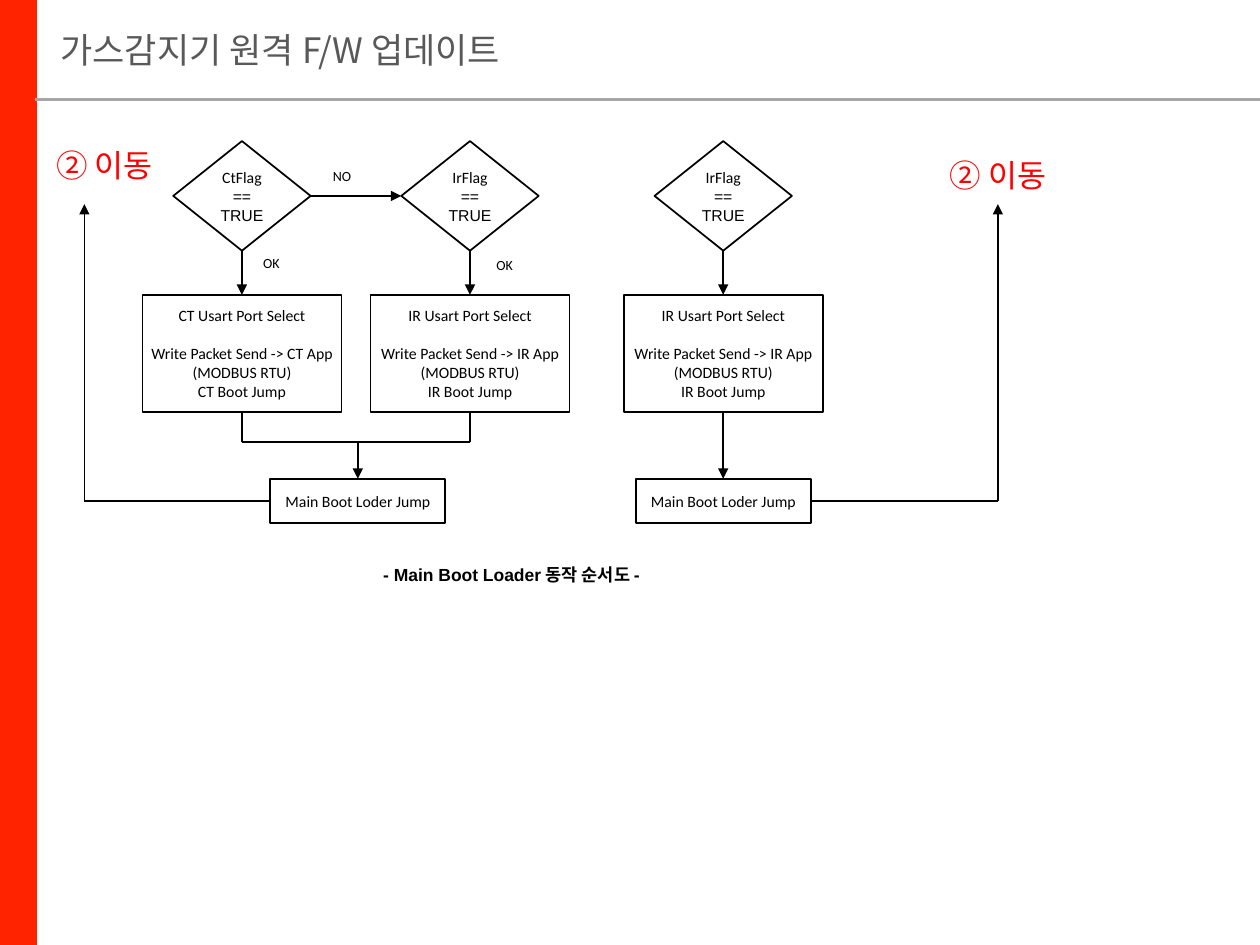
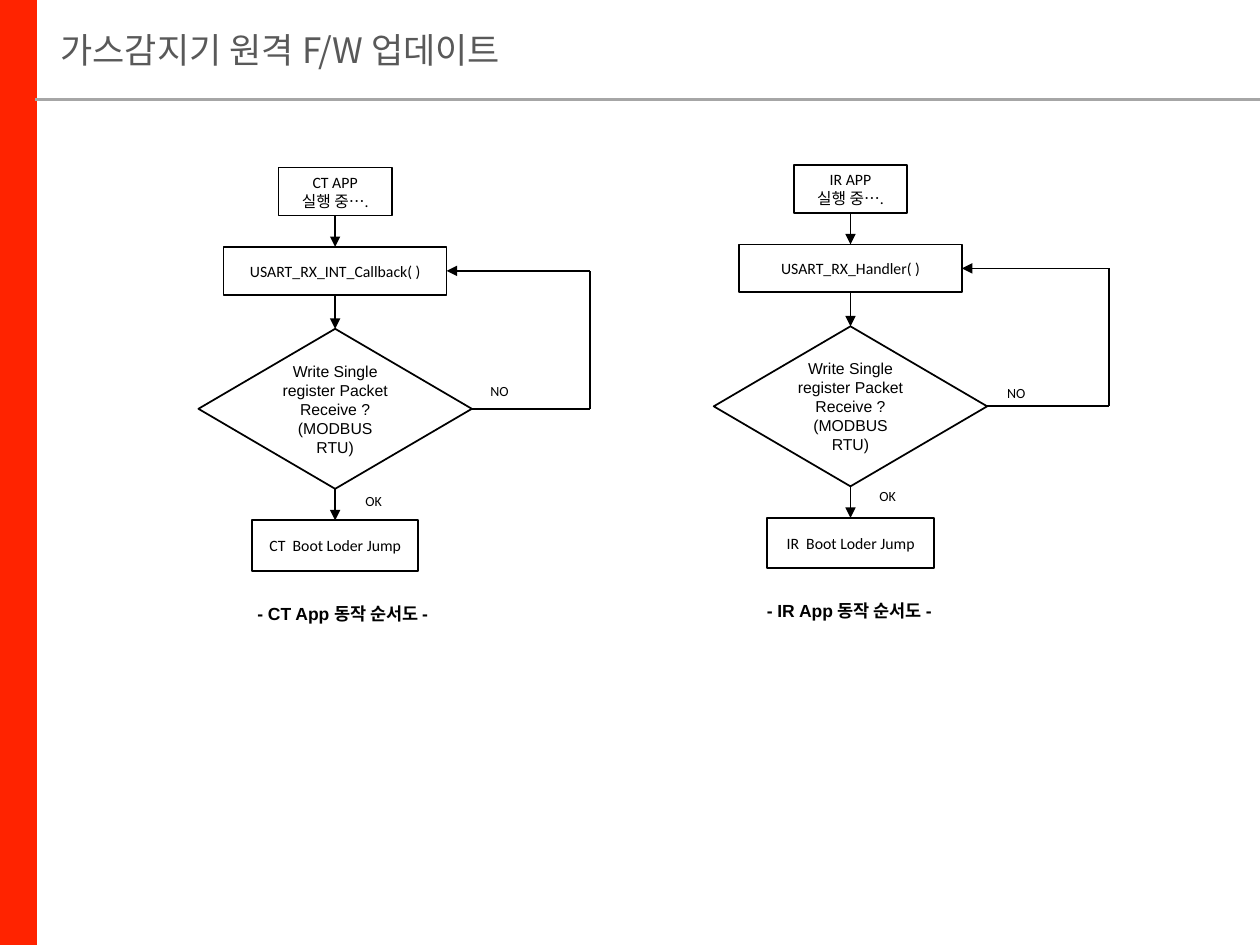
from dataclasses import dataclass

from lxml import etree
from pptx import Presentation
from pptx.dml.color import RGBColor
from pptx.enum.shapes import MSO_CONNECTOR as Connector, MSO_SHAPE as Shape
from pptx.enum.text import MSO_ANCHOR as Anchor, MSO_AUTO_SIZE as AutoSize, PP_ALIGN as Align
from pptx.oxml.ns import qn
from pptx.util import Inches, Pt

TOP, LEFT, BOTTOM, RIGHT = range(4)


def text_style(name, size, color="000000", bold=False):
    return {"name": name, "size": Pt(size), "bold": bold, "color": color}


@dataclass(frozen=True)
class Theme:
    band = "FF2300"
    rule = "A6A6A6"
    ink = "000000"
    paper = "FFFFFF"
    korean = "Noto Sans CJK KR"
    title = text_style(korean, 20, "595959")
    caption = text_style("Arial", 10, bold=True)
    step = text_style("Calibri", 9)
    test = text_style("Arial", 9)
    branch = text_style("Calibri", 8)
    jump = text_style(korean, 18, "FF0000")
    outline = 1
    paragraph_gap = Pt(11)


THEME = Theme()


@dataclass(frozen=True)
class AppFlow:
    chip: str
    handler: str
    axis: float
    top: float
    loop_x: float
    no_at: tuple
    ok_at: tuple
    caption_at: tuple


APP_FLOWS = [
    AppFlow("CT", "USART_RX_INT_Callback( )", 2.66, 1.33, 4.68,
            (3.79, 3.03), (2.79, 3.9), (1.22, 4.74)),
    AppFlow("IR", "USART_RX_Handler( )", 6.75, 1.31, 8.8,
            (7.89, 3.04), (6.87, 3.86), (5.24, 4.71)),
]


def set_values(target, values):
    for attribute, value in values.items():
        setattr(target, attribute, value)


def add_run(paragraph, text, style):
    run = paragraph.add_run()
    run.text = text
    set_values(run.font, {key: value for key, value in style.items() if key != "color"})
    run.font.color.rgb = RGBColor.from_string(style["color"])
    east_asian = etree.SubElement(run._r.get_or_add_rPr(), qn("a:ea"))
    east_asian.set("typeface", THEME.korean)


def write(frame, lines, style, inset=None, align=Align.CENTER, anchor=Anchor.MIDDLE):
    set_values(frame, {"word_wrap": True, "vertical_anchor": anchor})
    if inset is not None:
        sides = ("margin_left", "margin_top", "margin_right", "margin_bottom")
        set_values(frame, {side: Inches(inset) for side in sides})
    for index, line in enumerate(lines):
        paragraph = frame.add_paragraph() if index else frame.paragraphs[0]
        paragraph.alignment = align
        runs = [(line, style)] if isinstance(line, str) else line
        for text, run_style in runs:
            add_run(paragraph, text, run_style)


def add_block(slide, preset, left, top, width, height, fill=None, line=None, weight=1):
    block = slide.shapes.add_shape(preset, *map(Inches, (left, top, width, height)))
    block.shadow.inherit = False
    if fill:
        block.fill.solid()
        block.fill.fore_color.rgb = RGBColor.from_string(fill)
    else:
        block.fill.background()
    if line:
        block.line.color.rgb = RGBColor.from_string(line)
        block.line.width = Pt(weight)
    else:
        block.line.fill.background()
    return block


def add_step(slide, axis, top, width, height, lines):
    step = add_block(slide, Shape.RECTANGLE, axis - width / 2, top, width, height,
                     THEME.paper, THEME.ink, THEME.outline)
    write(step.text_frame, lines, THEME.step, inset=0.02)
    return step


def add_test(slide, axis, top, width, height, lines):
    test = add_block(slide, Shape.DIAMOND, axis - width / 2, top, width, height,
                     line=THEME.ink, weight=THEME.outline)
    write(test.text_frame, lines, THEME.test)
    return test


def add_label(slide, text, left, top, style=THEME.branch, width=0.35, height=0.15):
    label = add_block(slide, Shape.RECTANGLE, left, top, width, height, THEME.paper)
    write(label.text_frame, [text], style, inset=0.02)


def add_caption(slide, text, left, top):
    caption = slide.shapes.add_textbox(*map(Inches, (left, top, 3, 0.27)))
    write(caption.text_frame, [text], THEME.caption, anchor=Anchor.TOP)


def side_point(node, side):
    x, y = {
        TOP: (node.left + node.width / 2, node.top),
        LEFT: (node.left, node.top + node.height / 2),
        BOTTOM: (node.left + node.width / 2, node.top + node.height),
        RIGHT: (node.left + node.width, node.top + node.height / 2),
    }[side]
    return int(x), int(y)


def add_link(slide, start, end, arrow=False, color=THEME.ink, weight=THEME.outline):
    joined = [not isinstance(point[0], (int, float)) for point in (start, end)]
    points = [side_point(*point) if is_node else tuple(map(Inches, point))
              for point, is_node in zip((start, end), joined)]
    link = slide.shapes.add_connector(Connector.STRAIGHT, *points[0], *points[1])
    if joined[0]:
        link.begin_connect(*start)
    if joined[1]:
        link.end_connect(*end)
    link.line.color.rgb = RGBColor.from_string(color)
    link.line.width = Pt(weight)
    if arrow:
        head = etree.SubElement(link.line._get_or_add_ln(), qn("a:tailEnd"))
        head.set("type", "triangle")
    etree.SubElement(link._element.spPr, qn("a:effectLst"))
    return link


def add_path_down(slide, *nodes):
    for upper, lower in zip(nodes, nodes[1:]):
        add_link(slide, (upper, BOTTOM), (lower, TOP), arrow=True)


def add_titled_slide(deck):
    slide = deck.slides.add_slide(deck.slide_layouts[5])
    title = slide.shapes.title
    set_values(title, {"left": Inches(0.28), "top": 0,
                       "width": Inches(9.72), "height": Inches(0.79)})
    write(title.text_frame, ["가스감지기 원격 F/W 업데이트"], THEME.title,
          inset=0, align=Align.LEFT)
    set_values(title.text_frame, {"margin_left": Inches(0.2), "auto_size": AutoSize.NONE})
    add_block(slide, Shape.RECTANGLE, 0, 0, 0.28, 7.5, THEME.band, THEME.band, 2)
    add_link(slide, (0.28, 0.79), (10, 0.79), color=THEME.rule, weight=1.5)
    return slide


def add_flag_branch(slide, chip, flag, axis):
    test = add_test(slide, axis, 1.12, 1.09, 0.87,
                    [[(flag, THEME.step), (" == TRUE", THEME.test)]])
    port = add_step(slide, axis, 2.34, 1.58, 0.93, [
        f"{chip} Usart Port Select",
        f"Write Packet Send -> {chip} App",
        "(MODBUS RTU)",
        f"{chip} Boot Jump",
    ])
    port.text_frame.paragraphs[1].space_before = THEME.paragraph_gap
    add_path_down(slide, test, port)
    return test, port


def add_main_jump(slide, axis):
    return add_step(slide, axis, 3.8, 1.39, 0.35, ["Main Boot Loder Jump"])


def add_return(slide, jump, side, x, label_left, label_top):
    y = side_point(jump, side)[1] / Inches(1)
    add_link(slide, (jump, side), (x, y))
    add_link(slide, (x, y), (x, 1.62), arrow=True)
    add_label(slide, "② 이동", label_left, label_top, THEME.jump, 0.86, 0.3)


def build_main_loader(deck):
    slide = add_titled_slide(deck)
    ct_axis, ir_axis, merge_axis, merge_y = 1.92, 3.73, 2.84, 3.51
    ct_test, ct_port = add_flag_branch(slide, "CT", "CtFlag", ct_axis)
    ir_test, ir_port = add_flag_branch(slide, "IR", "IrFlag", ir_axis)
    add_link(slide, (ct_test, RIGHT), (ir_test, LEFT), arrow=True)
    for text, left, top in [("NO", 2.54, 1.32), ("OK", 1.98, 2.01), ("OK", 3.83, 2.03)]:
        add_label(slide, text, left, top)

    shared_jump = add_main_jump(slide, merge_axis)
    for port, axis in [(ct_port, ct_axis), (ir_port, ir_axis)]:
        add_link(slide, (port, BOTTOM), (axis, merge_y))
    add_link(slide, (ct_axis, merge_y), (ir_axis, merge_y))
    add_link(slide, (merge_axis, merge_y), (shared_jump, TOP), arrow=True)
    add_return(slide, shared_jump, LEFT, 0.67, 0.4, 1.16)

    single_axis = 5.74
    single_port = add_flag_branch(slide, "IR", "IrFlag", single_axis)[1]
    single_jump = add_main_jump(slide, single_axis)
    add_path_down(slide, single_port, single_jump)
    add_return(slide, single_jump, RIGHT, 7.92, 7.49, 1.24)
    add_caption(slide, "- Main Boot Loader 동작 순서도 -", 2.56, 4.43)


def add_app_flow(slide, flow):
    app = add_step(slide, flow.axis, flow.top, 0.9, 0.38, [f"{flow.chip} APP", "실행 중…."])
    handler = add_step(slide, flow.axis, flow.top + 0.63, 1.77, 0.38, [flow.handler])
    test = add_test(slide, flow.axis, flow.top + 1.28, 2.17, 1.27,
                    ["Write Single register Packet Receive ?", "(MODBUS RTU)"])
    jump = add_step(slide, flow.axis, flow.top + 2.8, 1.32, 0.4,
                    [f"{flow.chip}  Boot Loder Jump"])
    add_path_down(slide, app, handler, test, jump)

    loop_top, loop_bottom = [
        (flow.loop_x, side_point(node, RIGHT)[1] / Inches(1)) for node in (handler, test)
    ]
    add_link(slide, (test, RIGHT), loop_bottom)
    add_link(slide, loop_bottom, loop_top)
    add_link(slide, loop_top, (handler, RIGHT), arrow=True)
    add_label(slide, "NO", *flow.no_at)
    add_label(slide, "OK", *flow.ok_at)
    add_caption(slide, f"- {flow.chip} App 동작 순서도 -", *flow.caption_at)


def build_app_flows(deck):
    slide = add_titled_slide(deck)
    for flow in APP_FLOWS:
        add_app_flow(slide, flow)


def main():
    deck = Presentation()
    set_values(deck, {"slide_width": Inches(10), "slide_height": Inches(7.5)})
    build_main_loader(deck)
    build_app_flows(deck)
    deck.save("out.pptx")


if __name__ == "__main__":
    main()
